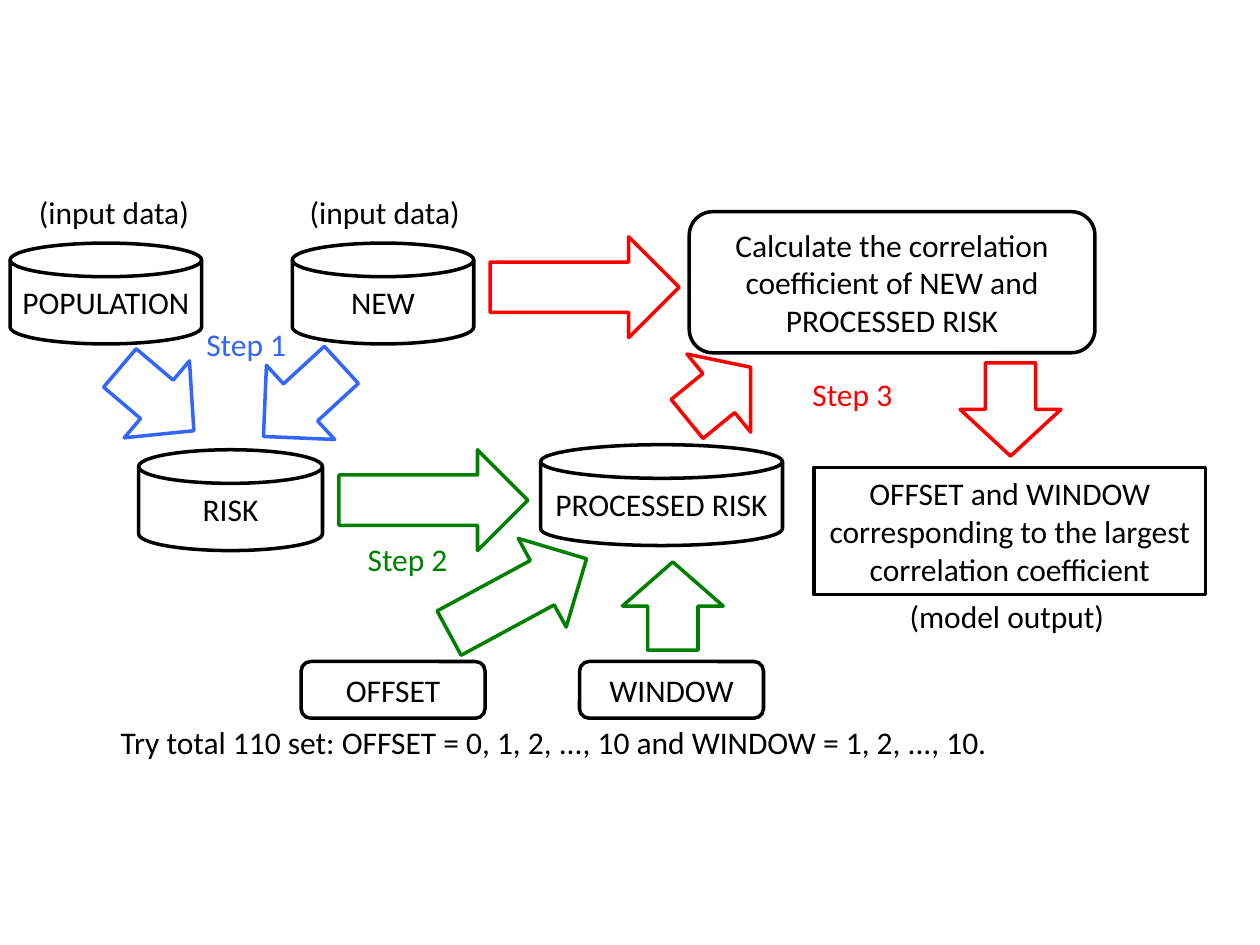
from dataclasses import dataclass

from pptx import Presentation
from pptx import util as u
from pptx.dml import color
from pptx.enum import shapes, text

COLORS = {
    "black": "000000",
    "white": "FFFFFF",
    "step1": "3366FF",
    "step2": "008000",
    "step3": "FF0000",
}
DISK = shapes.MSO_SHAPE.FLOWCHART_MAGNETIC_DISK
ROUNDED = shapes.MSO_SHAPE.ROUNDED_RECTANGLE
BOX = shapes.MSO_SHAPE.RECTANGLE
ARROW = shapes.MSO_SHAPE.RIGHT_ARROW
THICKNESS = 0.8
LABEL_HEIGHT = 0.4
CENTER = text.PP_ALIGN.CENTER
LEFT = text.PP_ALIGN.LEFT


@dataclass
class Node:
    wording: str
    kind: shapes.MSO_SHAPE
    left: float
    top: float
    width: float
    height: float
    wrap: bool = False


@dataclass
class Arrow:
    step: str
    left: float
    top: float
    length: float
    angle: float = 0


@dataclass
class Label:
    wording: str
    left: float
    top: float
    width: float
    hue: str = "black"
    align: text.PP_ALIGN = LEFT


ARROWS = [
    Arrow("step1", 0.86, 2.77, 0.77, 40.3),
    Arrow("step1", 1.98, 2.78, 0.84, 137.4),
    Arrow("step2", 2.69, 3.57, 1.5),
    Arrow("step2", 3.49, 4.33, 1.24, 331.6),
    Arrow("step2", 4.99, 4.41, 0.7, 270),
    Arrow("step3", 5.38, 2.72, 0.65, 320.8),
    Arrow("step3", 3.89, 1.88, 1.5),
    Arrow("step3", 7.65, 2.85, 0.74, 90),
]
NODES = [
    Node("POPULATION", DISK, 0.08, 1.93, 1.52, 0.8),
    Node("NEW", DISK, 2.32, 1.93, 1.44, 0.8),
    Node("RISK", DISK, 1.1, 3.57, 1.46, 0.8),
    Node("PROCESSED RISK", DISK, 4.29, 3.53, 1.92, 0.8),
    Node("OFFSET", ROUNDED, 2.39, 5.25, 1.46, 0.45),
    Node("WINDOW", ROUNDED, 4.6, 5.25, 1.46, 0.45),
    Node("Calculate the correlation coefficient of NEW and PROCESSED RISK",
         ROUNDED, 5.47, 1.68, 3.22, 1.12, True),
    Node("OFFSET and WINDOW corresponding to the largest correlation coefficient",
         BOX, 6.46, 3.71, 3.11, 1.01, True),
]
LABELS = [
    Label("(input data)", 0.21, 1.48, 1.5),
    Label("(input data)", 2.36, 1.48, 1.5),
    Label("Step 1", 1.47, 2.53, 0.97, "step1", CENTER),
    Label("Step 2", 2.75, 4.24, 0.97, "step2", CENTER),
    Label("Step 3", 6.28, 2.93, 0.97, "step3", CENTER),
    Label("(model output)", 7.12, 4.69, 1.79),
    Label("Try total 110 set: OFFSET = 0, 1, 2, ..., 10 and WINDOW = 1, 2, ..., 10.",
          0.86, 5.69, 7.1),
]


def rgb(hue: str) -> color.RGBColor:
    return color.RGBColor.from_string(COLORS[hue])


def write(frame, wording: str, hue: str, align: text.PP_ALIGN, wrap: bool) -> None:
    frame.word_wrap = wrap
    frame.text = wording
    paragraph = frame.paragraphs[0]
    paragraph.alignment = align
    paragraph.font.name = "Calibri"
    paragraph.font.size = u.Pt(18)
    paragraph.font.color.rgb = rgb(hue)


def draw_outline(slide, kind: shapes.MSO_SHAPE, left: float, top: float,
                 width: float, height: float, hue: str):
    outline = slide.shapes.add_shape(
        kind, u.Inches(left), u.Inches(top), u.Inches(width), u.Inches(height))
    outline.shadow.inherit = False
    outline.fill.solid()
    outline.fill.fore_color.rgb = rgb("white")
    outline.line.color.rgb = rgb(hue)
    outline.line.width = u.Pt(2)
    return outline


def draw_arrow(slide, arrow: Arrow) -> None:
    outline = draw_outline(slide, ARROW, arrow.left, arrow.top,
                           arrow.length, THICKNESS, arrow.step)
    outline.rotation = arrow.angle


def draw_node(slide, node: Node) -> None:
    outline = draw_outline(slide, node.kind, node.left, node.top,
                           node.width, node.height, "black")
    outline.text_frame.vertical_anchor = text.MSO_ANCHOR.MIDDLE
    write(outline.text_frame, node.wording, "black", CENTER, node.wrap)


def draw_label(slide, label: Label) -> None:
    caption = slide.shapes.add_textbox(
        u.Inches(label.left), u.Inches(label.top),
        u.Inches(label.width), u.Inches(LABEL_HEIGHT))
    write(caption.text_frame, label.wording, label.hue, label.align, True)


def main() -> None:
    deck = Presentation()
    deck.slide_width = u.Inches(10)
    deck.slide_height = u.Inches(7.5)
    slide = deck.slides.add_slide(deck.slide_layouts[6])
    for arrow in ARROWS:
        draw_arrow(slide, arrow)
    for node in NODES:
        draw_node(slide, node)
    for label in LABELS:
        draw_label(slide, label)
    deck.save("out.pptx")


main()
